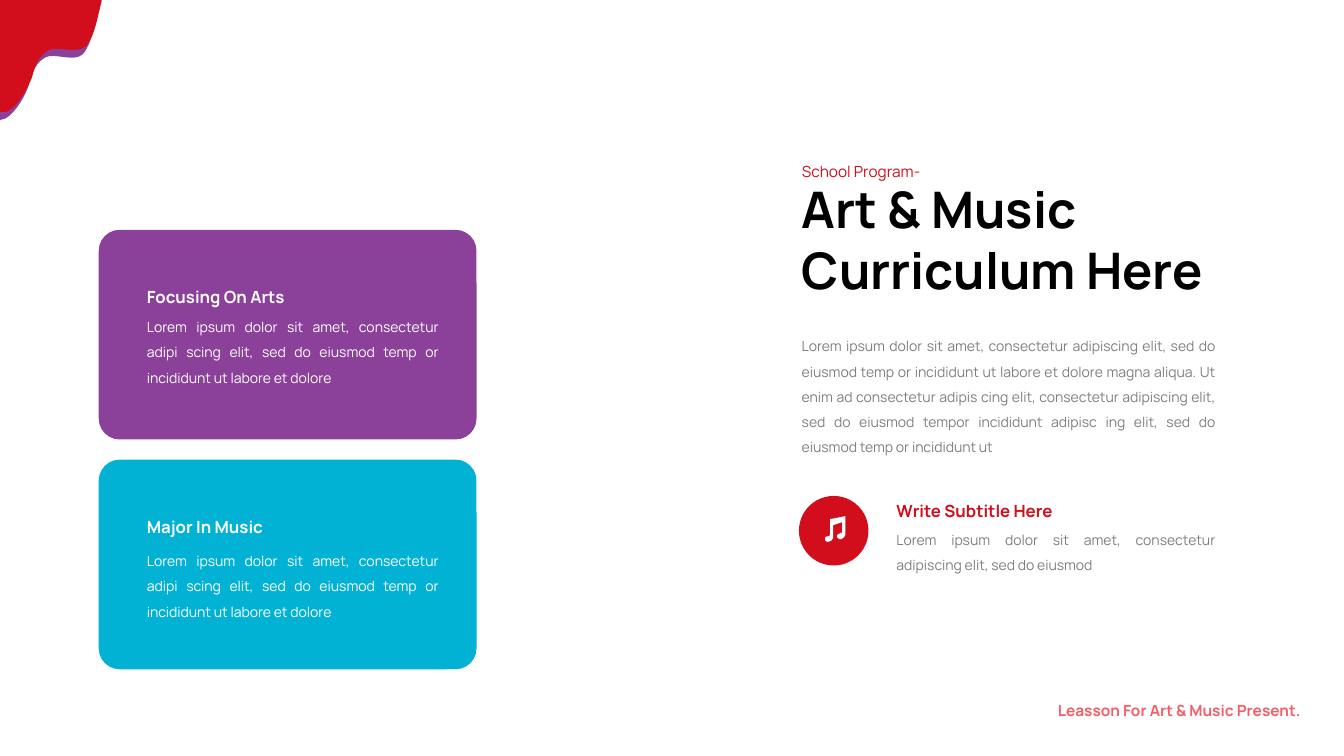
from lxml import etree
from pptx import Presentation
from pptx.dml.color import RGBColor
from pptx.enum.shapes import MSO_SHAPE
from pptx.enum.text import MSO_ANCHOR, MSO_AUTO_SIZE, PP_ALIGN
from pptx.oxml.ns import qn
from pptx.util import Inches, Pt

RED = RGBColor(0xD2, 0x0E, 0x1C)
PURPLE = RGBColor(0x8B, 0x40, 0x9A)
CYAN = RGBColor(0x01, 0xB2, 0xD4)
CORAL = RGBColor(0xF4, 0x5E, 0x69)
GRAY = RGBColor(0x7F, 0x7F, 0x7F)
BLACK = RGBColor(0, 0, 0)
WHITE = RGBColor(0xFF, 0xFF, 0xFF)

FONT = "Manrope"

CARD_TEXT = ("Lorem ipsum dolor sit amet, consectetur adipi scing elit, "
             "sed do eiusmod temp or incididunt ut labore et dolore")
INTRO_TEXT = ("Lorem ipsum dolor sit amet, consectetur adipiscing elit, sed do "
              "eiusmod temp or incididunt ut labore et dolore magna aliqua. Ut "
              "enim ad consectetur adipis cing elit, consectetur adipiscing elit, "
              "sed do eiusmod tempor incididunt adipisc ing elit, sed do eiusmod "
              "temp or incididunt ut")
SUBTITLE_TEXT = ("Lorem ipsum dolor sit amet, consectetur adipiscing elit, "
                 "sed do eiusmod")

# Outlines in inches: two numbers make a line, six a Bezier curve
PURPLE_DRIP = [
    (0, 0.08), (0.98, 0.08),
    (0.95, 0.18, 0.91, 0.45, 0.82, 0.54), (0.73, 0.62, 0.54, 0.52, 0.45, 0.57),
    (0.36, 0.62, 0.32, 0.71, 0.29, 0.83), (0.26, 0.94, 0.12, 1.19, 0, 1.19),
]
RED_DRIP = [
    (0, 1.11), (0, 0), (1.01, 0), (1.01, 0.01),
    (0.98, 0.11, 0.94, 0.38, 0.85, 0.46), (0.76, 0.54, 0.57, 0.45, 0.48, 0.5),
    (0.39, 0.55, 0.35, 0.64, 0.32, 0.76), (0.28, 0.87, 0.13, 1.15, 0.01, 1.11),
]
MUSIC_NOTE = [
    (8.24, 5.15), (8.24, 5.31), (8.22, 5.32),
    (8.19, 5.32, 8.18, 5.34, 8.19, 5.36), (8.2, 5.38, 8.22, 5.38, 8.24, 5.37),
    (8.25, 5.37, 8.27, 5.35, 8.27, 5.33), (8.27, 5.21), (8.36, 5.18), (8.36, 5.29),
    (8.35, 5.28, 8.34, 5.28, 8.34, 5.29), (8.31, 5.3, 8.3, 5.32, 8.31, 5.33),
    (8.32, 5.35, 8.34, 5.35, 8.35, 5.35), (8.37, 5.34, 8.39, 5.32, 8.39, 5.31),
    (8.39, 5.12),
]


def paint(sp, color):
    sp.shadow.inherit = False
    sp.fill.solid()
    sp.fill.fore_color.rgb = color
    sp.line.fill.background()


def add_outline(shapes, outline, color):
    ends = [(Inches(seg[-2]), Inches(seg[-1])) for seg in outline]
    builder = shapes.build_freeform(*ends[0])
    builder.add_line_segments(ends[1:], close=True)
    sp = builder.convert_to_shape()
    paint(sp, color)
    # Turn the curved segments from lines into Bezier curves
    lines = list(sp.element.iter(qn("a:lnTo")))
    for line, seg in zip(lines, outline[1:]):
        if len(seg) == 6:
            line.tag = qn("a:cubicBezTo")
            controls = [(seg[0], seg[1]), (seg[2], seg[3])]
            for i, (x, y) in enumerate(controls):
                pt = etree.Element(qn("a:pt"))
                pt.set("x", str(Inches(x) - sp.left))
                pt.set("y", str(Inches(y) - sp.top))
                line.insert(i, pt)


def add_shape(s, kind, left, top, width, height, color):
    sp = s.shapes.add_shape(kind, Inches(left), Inches(top), Inches(width), Inches(height))
    paint(sp, color)
    return sp


def format_text(tf, size, color, bold, align, spacing):
    tf.word_wrap = True
    tf.vertical_anchor = MSO_ANCHOR.TOP
    for p in tf.paragraphs:
        p.alignment = align
        p.line_spacing = spacing
        for r in p.runs:
            r.font.name = FONT
            r.font.size = Pt(size)
            r.font.bold = bold
            r.font.color.rgb = color


def add_text(s, text, left, top, width, height, size, color, bold=False,
             align=PP_ALIGN.LEFT):
    tf = s.shapes.add_textbox(Inches(left), Inches(top), Inches(width),
                              Inches(height)).text_frame
    tf.text = text
    tf.auto_size = MSO_AUTO_SIZE.SHAPE_TO_FIT_TEXT
    format_text(tf, size, color, bold, align, 1.5)


def add_title(s, text):
    title = s.shapes.title
    title.left, title.top = Inches(7.86), Inches(1.72)
    title.width, title.height = Inches(4.49), Inches(1.3)
    tf = title.text_frame
    tf.text = text
    tf.auto_size = MSO_AUTO_SIZE.NONE
    format_text(tf, 36, BLACK, True, PP_ALIGN.LEFT, 1.0)


def add_card(s, top, color, heading, heading_width, text_top):
    card = add_shape(s, MSO_SHAPE.ROUNDED_RECTANGLE, 0.98, top, 3.75, 2.08, color)
    card.adjustments[0] = 0.1
    add_text(s, heading, 1.36, top + 0.42, heading_width, 0.4, 12, WHITE, bold=True,
             align=PP_ALIGN.JUSTIFY)
    add_text(s, CARD_TEXT, 1.36, text_top, 3.09, 0.85, 10, WHITE, align=PP_ALIGN.JUSTIFY)


def main():
    prs = Presentation()
    prs.slide_width, prs.slide_height = Inches(13.34), Inches(7.5)
    s = prs.slides.add_slide(prs.slide_layouts[5])

    # Corner paint drip
    drip = s.shapes.add_group_shape()
    add_outline(drip.shapes, PURPLE_DRIP, PURPLE)
    add_outline(drip.shapes, RED_DRIP, RED)

    # Heading and introduction
    add_text(s, "School Program-", 7.86, 1.47, 1.68, 0.38, 11, RED,
             align=PP_ALIGN.JUSTIFY)
    add_title(s, "Art & Music\nCurriculum Here")
    add_text(s, INTRO_TEXT, 7.86, 3.22, 4.3, 1.35, 10, GRAY, align=PP_ALIGN.JUSTIFY)

    # Subject cards
    add_card(s, 2.28, PURPLE, "Focusing On Arts", 1.99, 3.03)
    add_card(s, 4.56, CYAN, "Major In Music", 1.57, 5.35)

    # Subtitle with music icon
    add_shape(s, MSO_SHAPE.OVAL, 7.93, 4.92, 0.69, 0.69, RED)
    add_outline(s.shapes, MUSIC_NOTE, WHITE)
    add_text(s, "Write Subtitle Here", 8.8, 4.82, 3.2, 0.4, 12, RED, bold=True)
    add_text(s, SUBTITLE_TEXT, 8.8, 5.14, 3.36, 0.6, 10, GRAY, align=PP_ALIGN.JUSTIFY)

    # Footer
    add_text(s, "Leasson For Art & Music Present.", 9.26, 6.81, 3.75, 0.38, 11, CORAL,
             bold=True, align=PP_ALIGN.RIGHT)

    prs.save("out.pptx")


if __name__ == "__main__":
    main()
